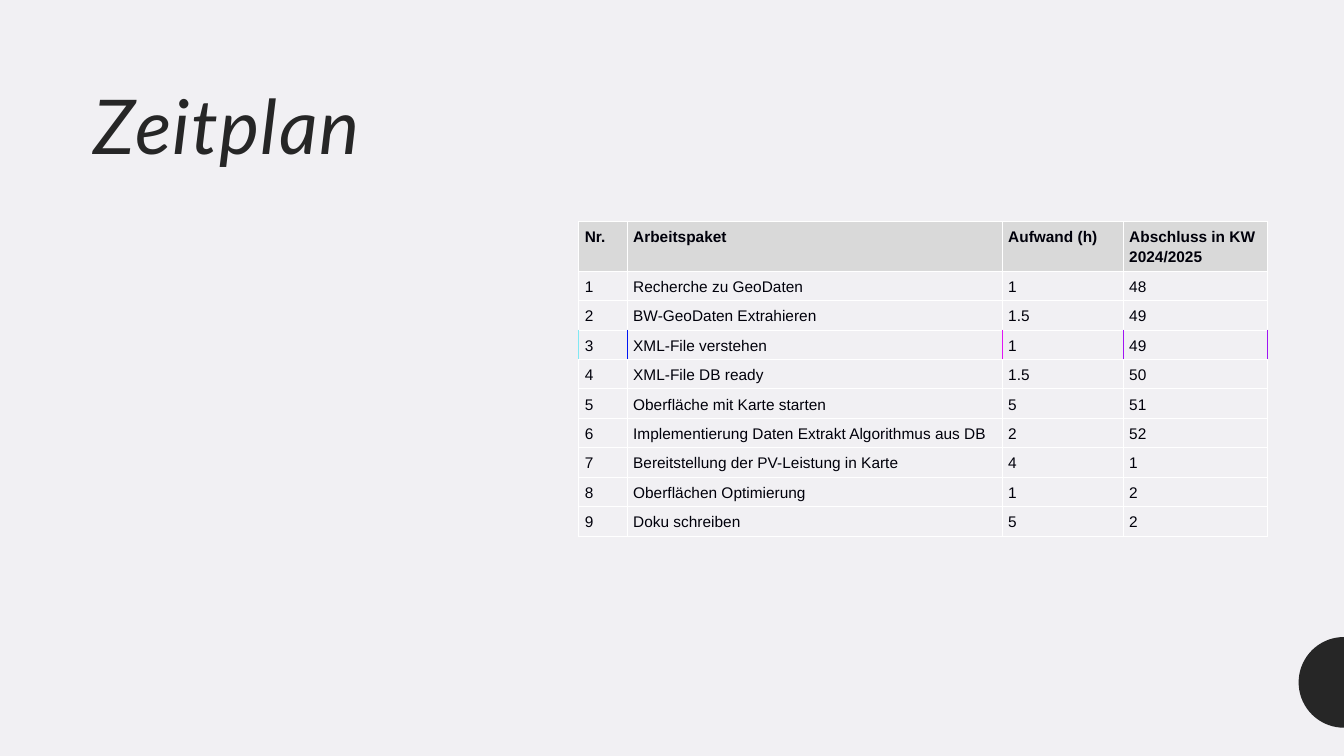
from math import cos, pi, sin

from lxml.etree import SubElement
from pptx import Presentation
from pptx.dml.color import RGBColor
from pptx.enum.text import MSO_ANCHOR, MSO_AUTO_SIZE, PP_ALIGN
from pptx.oxml.ns import qn
from pptx.util import Inches, Pt

WIDE, HIGH = 13.33, 7.5
DARK, INK, WHITE, GREY, PAPER = "262626", "00000A", "FFFFFF", "D9D9D9", "F1F0F3"

COLS = (0.48, 3.72, 1.2, 1.43)
HEAD, ROW = 0.49, 0.29
PLAN = (
    ("Nr.", "Arbeitspaket", "Aufwand (h)", "Abschluss in KW 2024/2025"),
    ("1", "Recherche zu GeoDaten", "1", "48"),
    ("2", "BW-GeoDaten Extrahieren", "1.5", "49"),
    ("3", "XML-File verstehen", "1", "49"),
    ("4", "XML-File DB ready", "1.5", "50"),
    ("5", "Oberfläche mit Karte starten", "5", "51"),
    ("6", "Implementierung Daten Extrakt Algorithmus aus DB", "2", "52"),
    ("7", "Bereitstellung der PV-Leistung in Karte", "4", "1"),
    ("8", "Oberflächen Optimierung", "1", "2"),
    ("9", "Doku schreiben", "5", "2"),
)
MARKED = 3
EDGES = ("80E8F3", "0016F4", "E015F4", "A014F4", "A014F4")


def tint(hue):
    return RGBColor.from_string(hue)


def style(run, face, size, hue, bold=False, italic=False):
    font = run.font
    font.name, font.size = face, Pt(size)
    font.bold, font.italic = bold, italic
    font.color.rgb = tint(hue)


def title(slide, left, top, width, height):
    shape = slide.shapes.title
    shape.left, shape.top = Inches(left), Inches(top)
    shape.width, shape.height = Inches(width), Inches(height)
    frame = shape.text_frame
    frame.text = "Zeitplan"
    frame.word_wrap = True
    frame.auto_size = MSO_AUTO_SIZE.NONE
    frame.vertical_anchor = MSO_ANCHOR.TOP
    para = frame.paragraphs[0]
    para.alignment, para.line_spacing = PP_ALIGN.LEFT, 0.9
    run = para.runs[0]
    style(run, "Lato", 54, DARK, italic=True)
    run.font._element.set("spc", "100")


def border(cell, left, right):
    """Draw the four cell borders; top and bottom are white."""
    props = cell._tc.get_or_add_tcPr()
    for side, hue in zip("LRTB", (left, right, WHITE, WHITE)):
        line = SubElement(props, qn(f"a:ln{side}"), w=str(Pt(0.75)))
        fill = SubElement(line, qn("a:solidFill"))
        SubElement(fill, qn("a:srgbClr"), val=hue)


def fill_cell(cell, text, head):
    cell.margin_left, cell.margin_right = Inches(0.06), Inches(0.07)
    cell.margin_top = cell.margin_bottom = Inches(0.05)
    if head:
        cell.fill.solid()
        cell.fill.fore_color.rgb = tint(GREY)
    else:
        cell.fill.background()
    cell.text_frame.text = text
    para = cell.text_frame.paragraphs[0]
    para.line_spacing = Pt(13.8)
    style(para.runs[0], "Arial", 11, INK, bold=head)


def plan(slide, left, top):
    high = HEAD + ROW * (len(PLAN) - 1)
    table = slide.shapes.add_table(
        len(PLAN), len(COLS), Inches(left), Inches(top),
        Inches(sum(COLS)), Inches(high)).table
    table.first_row = table.horz_banding = False
    for col, width in zip(table.columns, COLS):
        col.width = Inches(width)
    for r, texts in enumerate(PLAN):
        table.rows[r].height = Inches(ROW if r else HEAD)
        edges = EDGES if r == MARKED else (WHITE,) * len(EDGES)
        for c, text in enumerate(texts):
            cell = table.cell(r, c)
            border(cell, edges[c], edges[c + 1])
            fill_cell(cell, text, r == 0)


def half_disc(slide, x, y, radius, steps=36):
    """Place a half disc that opens to the left of the point x, y."""
    angles = [pi / 2 + pi * i / steps for i in range(steps + 1)]
    dots = [(Inches(x + radius * cos(a)), Inches(y - radius * sin(a)))
            for a in angles]
    pen = slide.shapes.build_freeform(*dots[0])
    pen.add_line_segments(dots[1:], close=True)
    shape = pen.convert_to_shape()
    shape.shadow.inherit = False
    shape.fill.solid()
    shape.fill.fore_color.rgb = tint(DARK)
    shape.line.fill.background()


def main():
    deck = Presentation()
    deck.slide_width, deck.slide_height = Inches(WIDE), Inches(HIGH)
    slide = deck.slides.add_slide(deck.slide_layouts[5])
    back = slide.background.fill
    back.solid()
    back.fore_color.rgb = tint(PAPER)
    half_disc(slide, WIDE, 6.77, 0.45)
    title(slide, 0.83, 0.83, 4.19, 5.2)
    plan(slide, 5.74, 2.2)
    deck.save("out.pptx")


if __name__ == "__main__":
    main()
